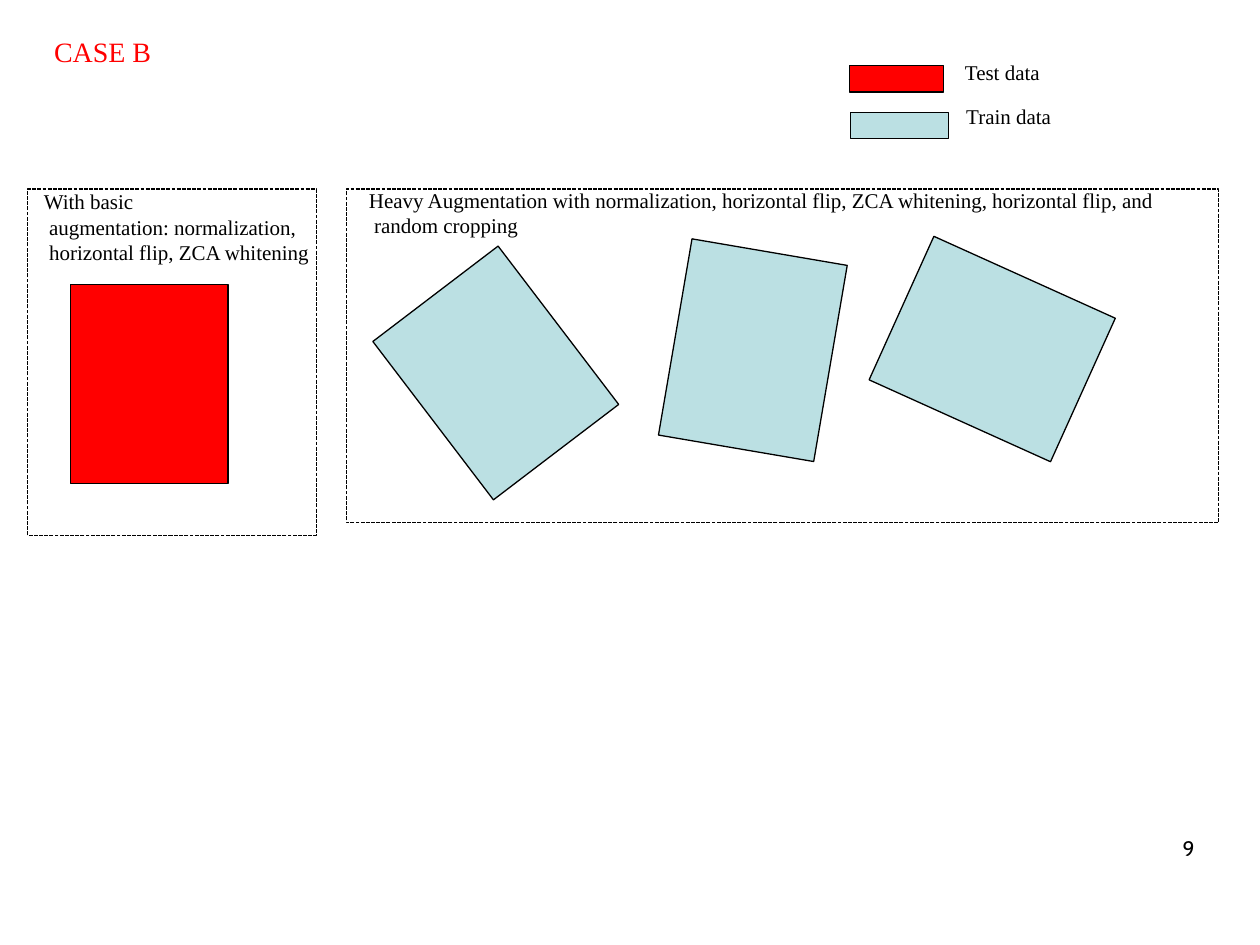
from pptx import Presentation
from pptx.dml.color import RGBColor
from pptx.enum.dml import MSO_LINE
from pptx.enum.shapes import MSO_SHAPE
from pptx.enum.text import MSO_ANCHOR, MSO_AUTO_SIZE, PP_ALIGN
from pptx.util import Inches, Pt

TEST, TRAIN, BLACK = "FF0000", "BBE0E3", "000000"
SERIF = "Times New Roman"


def add_rectangle(left, top, width, height, fill=None, rotation=0):
    """Add a filled rectangle, or a dashed empty frame when no fill is given."""
    shape = slide.shapes.add_shape(
        MSO_SHAPE.RECTANGLE, Inches(left), Inches(top), Inches(width), Inches(height))
    shape.shadow.inherit = False
    shape.rotation = rotation
    shape.line.color.rgb = RGBColor.from_string(BLACK)
    shape.line.width = Pt(0.75)
    if fill:
        shape.fill.solid()
        shape.fill.fore_color.rgb = RGBColor.from_string(fill)
    else:
        shape.fill.background()
        shape.line.dash_style = MSO_LINE.SQUARE_DOT


def write_lines(shape, lines, size=12, color=BLACK, font=SERIF, align=PP_ALIGN.LEFT):
    frame = shape.text_frame
    frame.vertical_anchor = MSO_ANCHOR.TOP
    frame.text = "\n".join(lines)
    for paragraph in frame.paragraphs:
        paragraph.alignment = align
        paragraph.font.name = font
        paragraph.font.size = Pt(size)
        paragraph.font.color.rgb = RGBColor.from_string(color)


presentation = Presentation()
presentation.slide_width = Inches(10)
presentation.slide_height = Inches(7.5)
slide = presentation.slides.add_slide(presentation.slide_layouts[5])

# Title
title = slide.shapes.title
title.left, title.top = Inches(0.33), Inches(0.22)
title.width, title.height = Inches(9.25), Inches(0.58)
write_lines(title, ["CASE B"], size=16, color=TEST)

# Page number
page_number = slide.shapes.add_textbox(Inches(6.58), Inches(6.58), Inches(3), Inches(0.4))
page_number.text_frame.word_wrap = True
write_lines(page_number, ["9"], font="Cabin", align=PP_ALIGN.RIGHT)

# Data samples
for left, top, fill, rotation in [
    (0.56, 2.26, TEST, 0),
    (3.31, 2.17, TRAIN, 322.7),
    (5.35, 1.99, TRAIN, 9.7),
    (7.25, 1.98, TRAIN, 294.3),
]:
    add_rectangle(left, top, 1.25, 1.58, fill, rotation)

# Group frames
add_rectangle(0.22, 1.5, 2.29, 2.75)
add_rectangle(2.75, 1.5, 6.92, 2.65)

# Legend keys
add_rectangle(6.74, 0.52, 0.75, 0.21, TEST)
add_rectangle(6.75, 0.89, 0.78, 0.21, TRAIN)

# Group captions and legend labels
for left, top, width, height, lines in [
    (0.25, 1.45, 2.33, 0.91, ["With basic", " augmentation: normalization,",
                              " horizontal flip, ZCA whitening"]),
    (2.83, 1.44, 6.52, 0.5, ["Heavy Augmentation with normalization, horizontal flip, "
                             "ZCA whitening, horizontal flip, and", " random cropping"]),
    (7.56, 0.42, 0.81, 0.3, ["Test data"]),
    (7.57, 0.77, 0.89, 0.3, ["Train data"]),
]:
    label = slide.shapes.add_textbox(Inches(left), Inches(top), Inches(width), Inches(height))
    label.text_frame.word_wrap = False
    label.text_frame.auto_size = MSO_AUTO_SIZE.SHAPE_TO_FIT_TEXT
    write_lines(label, lines)

presentation.save("out.pptx")
